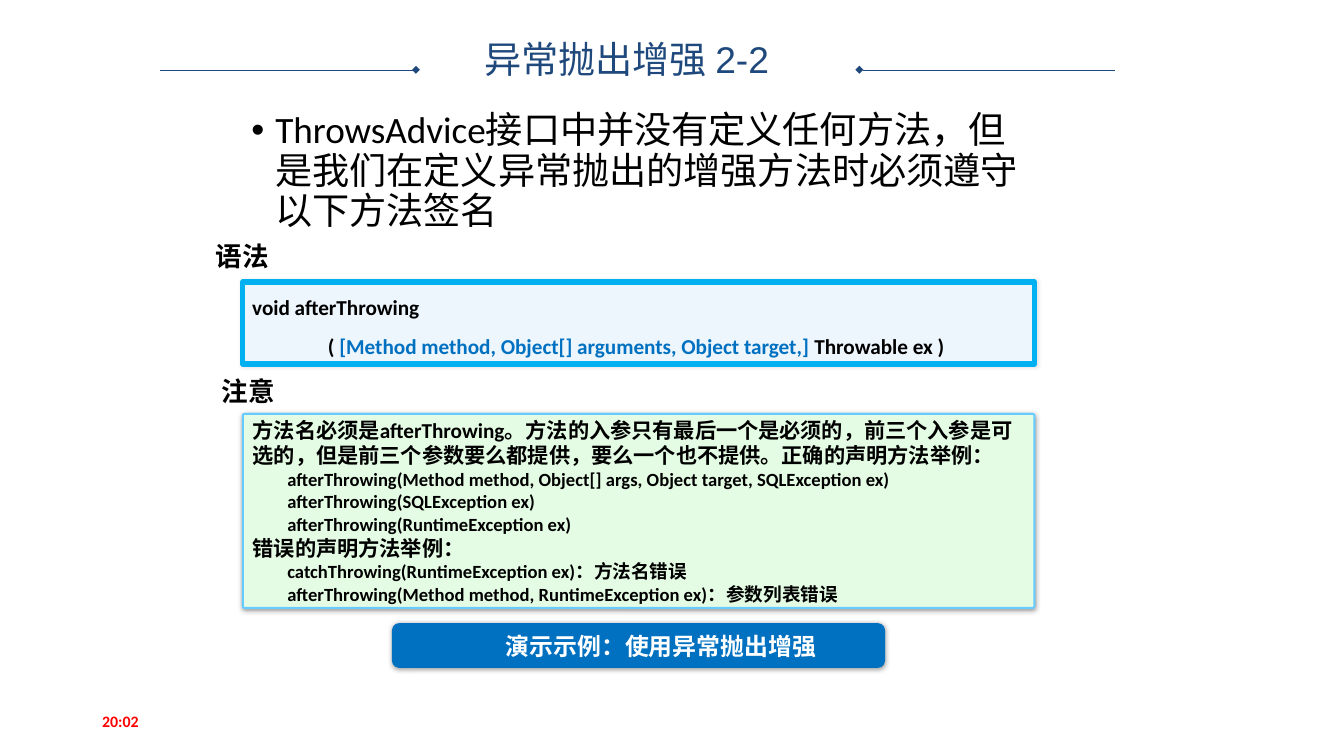
import pptx
import pptx.dml.color
import pptx.enum.shapes
import pptx.enum.text
import pptx.oxml
import pptx.oxml.ns
import pptx.util

Pt = pptx.util.Pt
SHAPE = pptx.enum.shapes.MSO_SHAPE
ANCHOR = pptx.enum.text.MSO_ANCHOR
ALIGN = pptx.enum.text.PP_ALIGN
FIT = pptx.enum.text.MSO_AUTO_SIZE
NAVY, BLACK, WHITE, BLUE = "1F497D", "000000", "FFFFFF", "0070C0"
CODE_INDENT = 26
HEADING_FONT = "Noto Sans CJK SC"


def color(hex_value):
    """Turn a hex string into a colour."""
    return pptx.dml.color.RGBColor.from_string(hex_value)


def element(tag, parent=None, **attributes):
    """Make a drawing element, optionally inside a parent."""
    made = pptx.oxml.parse_xml(f'<a:{tag} {pptx.oxml.ns.nsdecls("a")}/>')
    for key, value in attributes.items():
        made.set(key, str(value))
    if parent is not None:
        parent.append(made)
    return made


def cast_shadow(effects, hex_value, opacity, blur, distance, angle):
    """Add an outer shadow to an effect list."""
    shadow = element("outerShdw", effects, blurRad=Pt(blur), dist=Pt(distance),
                     dir=angle * 60000, algn="ctr", rotWithShape=0)
    tint = element("srgbClr", shadow, val=hex_value)
    element("alpha", tint, val=opacity * 1000)


def apply(target, formats):
    """Set every attribute of a dict on the target."""
    for key, value in formats.items():
        setattr(target, key, value)


def place(shape, box):
    """Move a shape to a box given in points."""
    apply(shape, dict(zip(("left", "top", "width", "height"), map(Pt, box))))


def write(frame, paragraphs, frame_format=None):
    """Fill a frame with (runs, indent, hanging, paragraph format) entries."""
    apply(frame, {"word_wrap": True, "auto_size": FIT.NONE,
                  **(frame_format or {})})
    for index, (runs, indent, hanging, layout) in enumerate(paragraphs):
        paragraph = frame.add_paragraph() if index else frame.paragraphs[0]
        properties = paragraph._p.get_or_add_pPr()
        properties.set("marL", str(Pt(indent)))
        properties.set("indent", str(Pt(-hanging)))
        apply(paragraph, {"alignment": ALIGN.LEFT, "space_before": Pt(0),
                          **layout})
        if hanging:
            element("buFont", properties, typeface="Arial")
            element("buChar", properties, char="•")
        for text, size, hex_value, bold, family in runs:
            run = paragraph.add_run()
            run.text = text
            apply(run.font, {"size": Pt(size), "bold": bold, "name": family})
            run.font.color.rgb = color(hex_value)
            element("ea", run._r.get_or_add_rPr(), typeface=HEADING_FONT)


def label(slide, box, text, size, hex_value, family="Calibri", **frame_format):
    """Place one bold line of text and return its text box."""
    words = slide.shapes.add_textbox(*map(Pt, box))
    write(words.text_frame, [([(text, size, hex_value, True, family)], 0, 0, {})],
          frame_format)
    return words


def panel(slide, box, kind, fill, shadow, corner=None, line=None):
    """Place a filled shape with a shadow and an optional outline."""
    shape = slide.shapes.add_shape(kind, *map(Pt, box))
    shape.fill.solid()
    shape.fill.fore_color.rgb = color(fill)
    if corner is not None:
        shape.adjustments[0] = corner
    if line:
        shape.line.color.rgb = color(line[0])
        shape.line.width = Pt(line[1])
    else:
        shape.line.fill.background()
    shape.shadow.inherit = False
    effects = shape._element.spPr.find(pptx.oxml.ns.qn("a:effectLst"))
    cast_shadow(effects, *shadow)
    return shape


def title_band(slide, box):
    """Place the title between two rules with diamond ends."""
    left, top, width, height = box
    middle = top + 23.1
    for start, end in ((left + 192.5, left), (left + 526.5, left + width)):
        rule = slide.shapes.add_connector(
            pptx.enum.shapes.MSO_CONNECTOR.STRAIGHT,
            *map(Pt, (start, middle, end, middle)))
        rule.line.color.rgb = color(NAVY)
        rule.line.width = Pt(0.25)
        element("headEnd", rule.line._get_or_add_ln(), type="diamond")
        element("effectLst", rule._element.spPr)
    title = slide.shapes.title
    place(title, (left + 130.5, top, 441.4, height))
    write(title.text_frame,
          [([("异常抛出增强 2-2", 28, NAVY, False, "Arial")], 0, 0,
            {"alignment": ALIGN.CENTER, "line_spacing": 0.9})],
          {"vertical_anchor": ANCHOR.MIDDLE})


def intro(slide, box):
    """Place the introductory bullet in the body placeholder."""
    body = slide.placeholders[1]
    place(body, box)
    rule = "ThrowsAdvice接口中并没有定义任何方法，但是我们在定义异常抛出的增强方法时必须遵守以下方法签名"
    write(body.text_frame, [([(rule, 28, BLACK, False, "Calibri")], 18, 18,
                             {"line_spacing": 0.9})],
          {"vertical_anchor": ANCHOR.TOP})


def heading(slide, box, text):
    """Place a section heading with shadowed letters."""
    words = label(slide, box, text, 20, BLACK, HEADING_FONT,
                  word_wrap=False, vertical_anchor=ANCHOR.MIDDLE)
    run = words.text_frame.paragraphs[0].runs[0]
    effects = element("effectLst")
    run._r.rPr.find(pptx.oxml.ns.qn("a:latin")).addprevious(effects)
    cast_shadow(effects, BLACK, 43, 3, 2, 45)


def syntax(slide, box):
    """Place the method signature panel."""
    signature = panel(slide, box, SHAPE.ROUNDED_RECTANGLE, "EDF5FD",
                      (BLACK, 10, 3, 0, 0), 0, ("00B0F0", 4))
    lines = [(0, [("void afterThrowing", BLACK)]),
             (57, [("( ", BLACK),
                   ("[Method method, Object[] arguments, Object target,] ", BLUE),
                   ("Throwable ex )", BLACK)])]
    write(signature.text_frame,
          [([(text, 16, tint, True, "Calibri") for text, tint in parts],
            indent, 0, {"line_spacing": 1.5}) for indent, parts in lines],
          {"margin_top": 0, "margin_bottom": 0, "vertical_anchor": ANCHOR.TOP})


def notice(slide, box):
    """Place the panel of correct and wrong declarations."""
    rules = panel(slide, box, SHAPE.ROUNDED_RECTANGLE, "E4FCE4",
                  (BLACK, 40, 4, 1, 90), 0.01, ("66CCFF", 1.5))
    sections = [
        ("方法名必须是afterThrowing。方法的入参只有最后一个是必须的，前三个入参是可选的，"
         "但是前三个参数要么都提供，要么一个也不提供。正确的声明方法举例：",
         ["afterThrowing(Method method, Object[] args, Object target, SQLException ex)",
          "afterThrowing(SQLException ex)",
          "afterThrowing(RuntimeException ex)"]),
        ("错误的声明方法举例：",
         ["catchThrowing(RuntimeException ex)：方法名错误",
          "afterThrowing(Method method, RuntimeException ex)：参数列表错误"])]
    paragraphs = []
    for lead, examples in sections:
        paragraphs.append(([(lead, 16, BLACK, True, "Calibri")], 0, 0, {}))
        paragraphs += [([(example, 14, BLACK, True, "Calibri")], CODE_INDENT, 0, {})
                       for example in examples]
    write(rules.text_frame, paragraphs, {"vertical_anchor": ANCHOR.MIDDLE})


def demo_banner(slide, box):
    """Place the banner that announces the demonstration."""
    left, top, width, height = box
    panel(slide, box, SHAPE.FLOWCHART_ALTERNATE_PROCESS, BLUE,
          ("262626", 43, 4, 1, 90))
    label(slide, (left + 78.5, top + 2.9, 252.7, 28.8),
          "演示示例：使用异常抛出增强", 18, WHITE, word_wrap=False)


def main():
    """Build and save the slide."""
    deck = pptx.Presentation()
    apply(deck, {"slide_width": Pt(1012.3), "slide_height": Pt(569.5)})
    slide = deck.slides.add_slide(deck.slide_layouts[1])
    title_band(slide, (120.8, 29.5, 719.4, 33.8))
    label(slide, (69.8, 527.8, 227.5, 30.2), "20:02", 12, "FF0000",
          vertical_anchor=ANCHOR.MIDDLE)
    intro(slide, (182.2, 80.6, 601.9, 394.6))
    heading(slide, (155.5, 177.1, 55.4, 31.7), "语法")
    syntax(slide, (182.9, 212.4, 596.2, 61.9))
    heading(slide, (159.8, 278.6, 55.4, 31.7), "注意")
    notice(slide, (182.9, 311.8, 596.2, 146.2))
    demo_banner(slide, (295.2, 469.4, 371.5, 33.8))
    deck.save("out.pptx")


if __name__ == "__main__":
    main()
